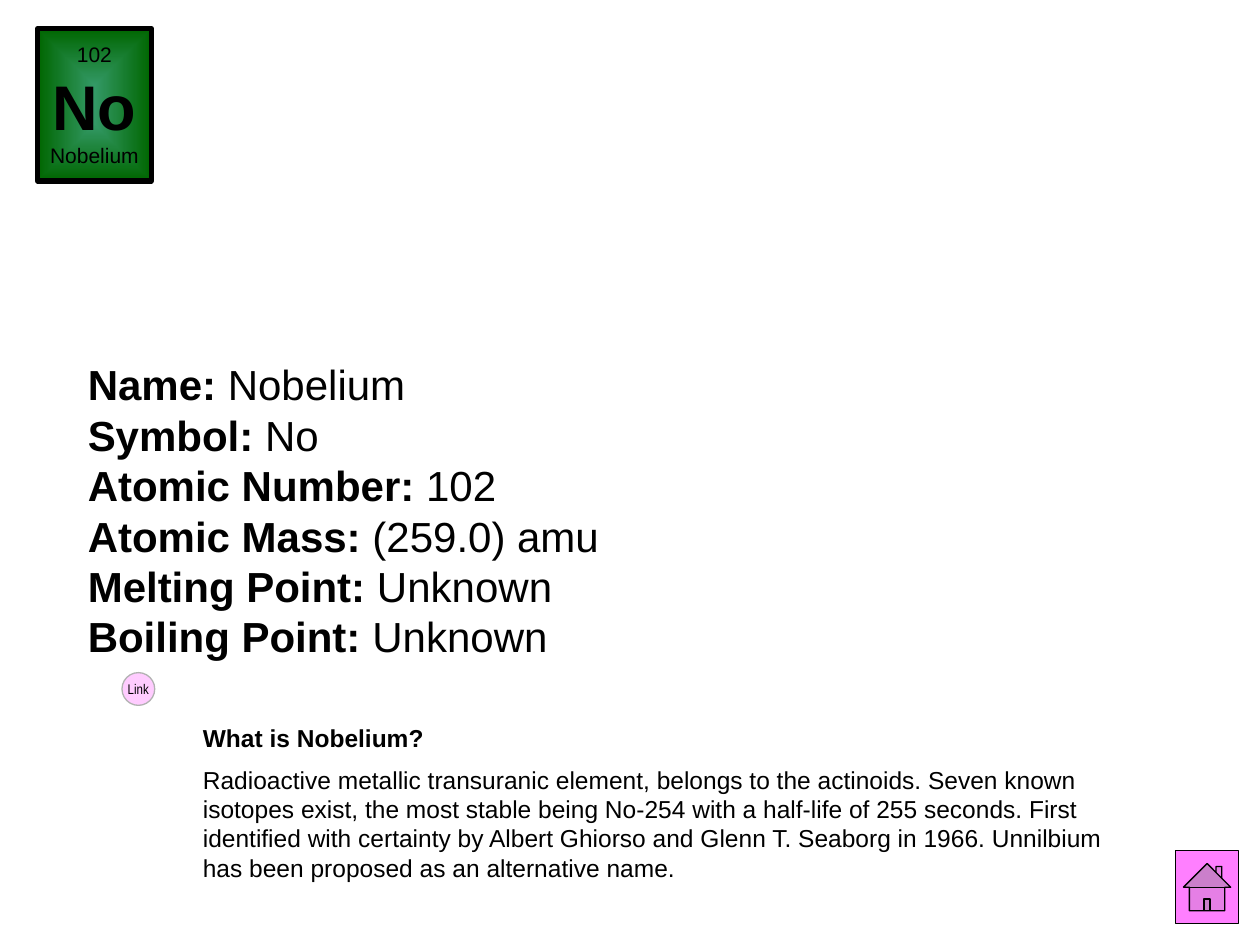
from lxml.etree import SubElement
from pptx import Presentation
from pptx.dml.color import RGBColor
from pptx.enum.shapes import MSO_SHAPE
from pptx.enum.text import MSO_ANCHOR, PP_ALIGN
from pptx.oxml import parse_xml
from pptx.oxml.ns import nsdecls, qn
from pptx.util import Cm, Pt

BLACK = RGBColor(0x00, 0x00, 0x00)
GREY = RGBColor(0xB2, 0xB2, 0xB2)
MAGENTA = RGBColor(0xFF, 0x00, 0xFF)
PINK = RGBColor(0xFF, 0xCC, 0xFF)
LIGHT_GREEN = RGBColor(0x33, 0x99, 0x66)
DARK_GREEN = RGBColor(0x00, 0x66, 0x00)

FACTS = [
    ("Name:", "Nobelium"),
    ("Symbol:", "No"),
    ("Atomic Number:", "102"),
    ("Atomic Mass:", "(259.0) amu"),
    ("Melting Point:", "Unknown"),
    ("Boiling Point:", "Unknown"),
]
QUESTION = "What is Nobelium?"
ANSWER = (
    "Radioactive metallic transuranic element, belongs to the actinoids. "
    "Seven known isotopes exist, the most stable being No-254 with a half-life "
    "of 255 seconds. First identified with certainty by Albert Ghiorso and "
    "Glenn T. Seaborg in 1966. Unnilbium has been proposed as an alternative name."
)


class ElementSlide:
    font = "Arial"
    color = BLACK

    def __init__(self, slide):
        self.slide = slide

    def style(self, run, size, bold=False, font=None):
        run.font.name = font or self.font
        run.font.size = Pt(size)
        run.font.bold = bold
        run.font.color.rgb = self.color

    def shape(self, preset, box, line, width):
        shape = self.slide.shapes.add_shape(preset, *map(Cm, box))
        shape.shadow.inherit = False
        shape.line.color.rgb = line
        shape.line.width = Pt(width)
        return shape

    def centered(self, shape, lines, font=None):
        frame = shape.text_frame
        frame.word_wrap = False
        frame.vertical_anchor = MSO_ANCHOR.MIDDLE
        frame.text = "\n".join(text for text, _, _ in lines)
        for paragraph, (_, size, bold) in zip(frame.paragraphs, lines):
            paragraph.alignment = PP_ALIGN.CENTER
            self.style(paragraph.runs[0], size, bold, font)

    def tile(self, box, lines):
        tile = self.shape(MSO_SHAPE.RECTANGLE, box, BLACK, 3)
        tile.fill.gradient()
        for stop, color, position in zip(
            tile.fill.gradient_stops, (LIGHT_GREEN, DARK_GREEN), (0, 1)
        ):
            stop.color.rgb = color
            stop.position = position
        gradient = tile.element.spPr.find(qn("a:gradFill"))
        center = parse_xml(
            f'<a:path {nsdecls("a")} path="shape">'
            '<a:fillToRect l="50000" t="50000" r="50000" b="50000"/></a:path>'
        )
        gradient.replace(gradient.find(qn("a:lin")), center)
        self.centered(tile, lines)

    def link(self, box, label):
        link = self.shape(MSO_SHAPE.OVAL, box, GREY, 0.75)
        link.fill.solid()
        link.fill.fore_color.rgb = PINK
        self.centered(link, [(label, 8, False)], "Arial Narrow")

    def home_button(self, box):
        button = self.shape(MSO_SHAPE.ACTION_BUTTON_HOME, box, BLACK, 0.75)
        button.fill.solid()
        button.fill.fore_color.rgb = MAGENTA
        color = button.element.spPr.find(qn("a:solidFill")).find(qn("a:srgbClr"))
        SubElement(color, qn("a:alpha")).set("val", "50000")

    def text_frame(self, box):
        frame = self.slide.shapes.add_textbox(*map(Cm, box)).text_frame
        frame.word_wrap = True
        return frame

    def facts(self, box, facts):
        frame = self.text_frame(box)
        frame.text = "\n".join(label for label, _ in facts)
        for paragraph, (_, value) in zip(frame.paragraphs, facts):
            self.style(paragraph.runs[0], 24, True)
            value_run = paragraph.add_run()
            value_run.text = f" {value}"
            self.style(value_run, 24)

    def description(self, box, question, answer):
        frame = self.text_frame(box)
        frame.text = f"{question}\n{answer}"
        heading, body = frame.paragraphs
        self.style(heading.runs[0], 14, True)
        self.style(body.runs[0], 14)
        body.space_before = Pt(7)


def main():
    presentation = Presentation()
    presentation.slide_width = Cm(25.4)
    presentation.slide_height = Cm(19.05)
    page = ElementSlide(presentation.slides.add_slide(presentation.slide_layouts[6]))

    page.home_button((23.7, 17.15, 1.27, 1.47))
    page.facts((1.52, 7.11, 11.86, 7.37), FACTS)
    page.link((2.46, 13.56, 0.66, 0.66), "Link")
    page.tile(
        (0.76, 0.58, 2.29, 3.07),
        [("102", 12, False), ("No", 36, True), ("Nobelium", 12, False)],
    )
    page.description((3.84, 14.45, 19.05, 3.51), QUESTION, ANSWER)

    presentation.save("out.pptx")


if __name__ == "__main__":
    main()
